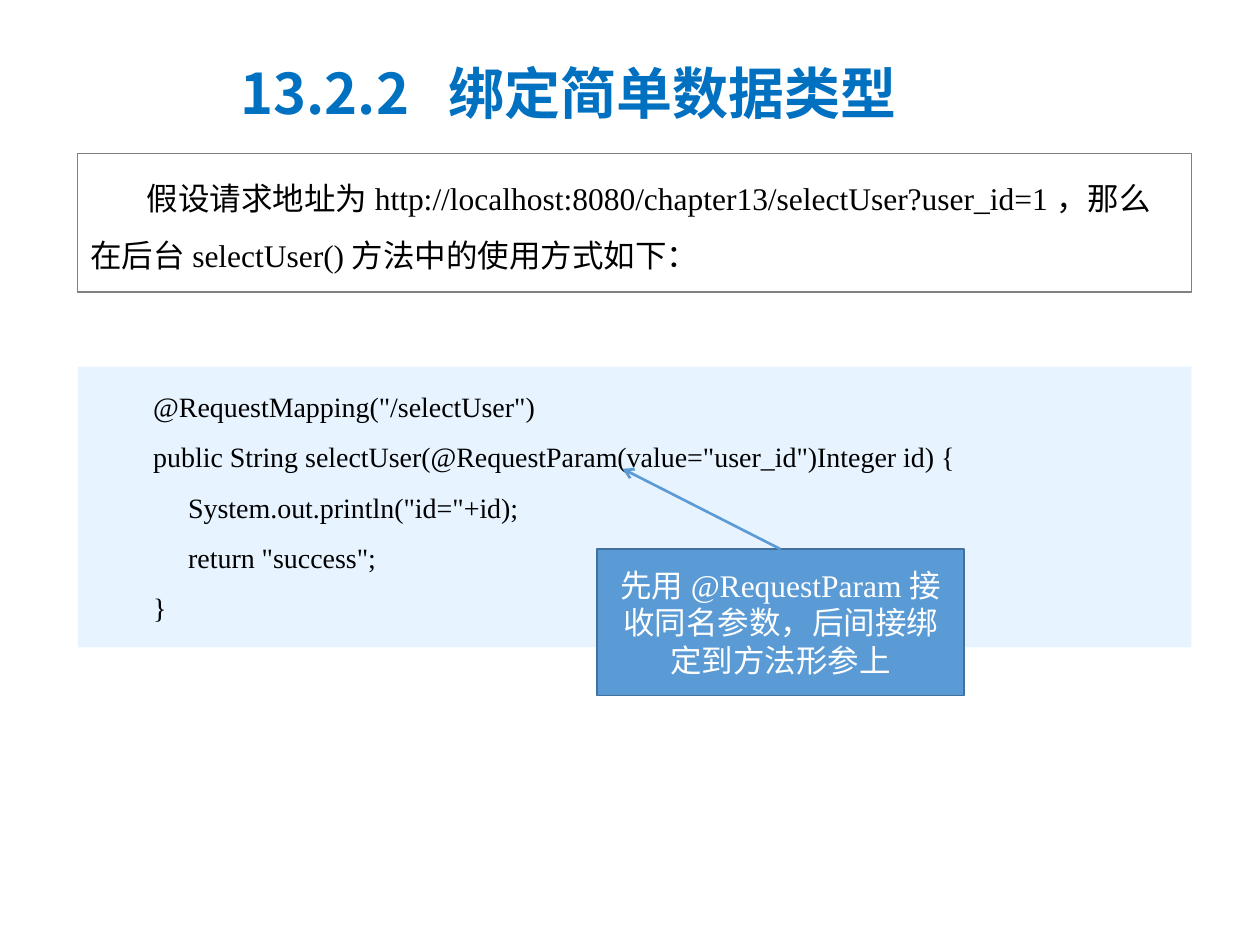
from lxml import etree
from pptx import Presentation
from pptx.dml.color import RGBColor
from pptx.enum import shapes, text
from pptx.oxml.ns import qn
from pptx.util import Cm, Pt

SANS = "Noto Sans CJK SC"
SERIF = "Times New Roman"
LEFT, WIDTH = 1.57, 22.45
CODE = [
    '@RequestMapping("/selectUser")',
    'public String selectUser(@RequestParam(value="user_id")Integer id) {',
    '     System.out.println("id="+id);',
    '     return "success";',
    "}",
]


def color(value):
    return RGBColor.from_string(value)


def add_run(p, content, size, font, fill, bold=False):
    r = p.add_run()
    r.text = content
    r.font.size = Pt(size)
    r.font.name = font
    r.font.bold = bold
    r.font.color.rgb = color(fill)
    return r


def add_panel(s, box, fill, line=None, width=0.75):
    sp = s.shapes.add_shape(shapes.MSO_SHAPE.RECTANGLE, *map(Cm, box))
    sp.shadow.inherit = False
    sp.fill.solid()
    sp.fill.fore_color.rgb = color(fill)
    if line:
        sp.line.color.rgb = color(line)
        sp.line.width = Pt(width)
    else:
        sp.line.fill.background()
    tf = sp.text_frame
    tf.word_wrap = True
    tf.vertical_anchor = text.MSO_ANCHOR.TOP
    tf.paragraphs[0].alignment = text.PP_ALIGN.LEFT
    return tf


def add_title(s, box):
    tf = s.shapes.add_textbox(*map(Cm, box)).text_frame
    tf.word_wrap = True
    tf.vertical_anchor = text.MSO_ANCHOR.MIDDLE
    p = tf.paragraphs[0]
    p.line_spacing = 0.9
    r = add_run(p, "13.2.2  绑定简单数据类型", 32, SANS, "0070C0", True)
    etree.SubElement(r.font._element, qn("a:ea")).set("typeface", SANS)


def add_request(s, box):
    tf = add_panel(s, box, "FFFFFF", "808080")
    p = tf.paragraphs[0]
    p.line_spacing = 1.5
    p._p.get_or_add_pPr().set("indent", str(Cm(1.14)))
    add_run(p, "假设请求地址为http://localhost:8080/chapter13/selectUser?user_id=1，"
               "那么在后台selectUser()方法中的使用方式如下：", 18, SERIF, "000000")


def add_code(s, box):
    tf = add_panel(s, box, "E7F4FF")
    for i, line in enumerate(CODE):
        p = tf.paragraphs[0] if i == 0 else tf.add_paragraph()
        p.alignment = text.PP_ALIGN.LEFT
        p.line_spacing = 1.5
        pPr = p._p.get_or_add_pPr()
        pPr.set("marL", str(Cm(2.06)))
        pPr.set("indent", str(Cm(-0.79)))
        add_run(p, line, 16, SERIF, "000000")


def add_callout(s, box, target):
    left, top, width, _ = box
    tf = add_panel(s, box, "5B9BD5", "41719C", 1)
    tf.vertical_anchor = text.MSO_ANCHOR.MIDDLE
    p = tf.paragraphs[0]
    p.alignment = text.PP_ALIGN.CENTER
    add_run(p, "先用", 18, "Calibri", "FFFFFF")
    add_run(p, "@RequestParam接收同名参数，后间接绑定到方法形参上", 18, SERIF, "FFFFFF")

    arrow = s.shapes.add_connector(
        shapes.MSO_CONNECTOR.STRAIGHT, Cm(left + width / 2), Cm(top), *map(Cm, target))
    arrow.line.color.rgb = color("5B9BD5")
    arrow.line.width = Pt(1.5)
    etree.SubElement(arrow.line._get_or_add_ln(), qn("a:tailEnd")).set("type", "arrow")
    etree.SubElement(arrow._element.spPr, qn("a:effectLst"))


def main():
    prs = Presentation()
    prs.slide_width, prs.slide_height = Cm(25.4), Cm(19.05)
    s = prs.slides.add_slide(prs.slide_layouts[6])
    add_title(s, (4.6, 0.86, 15.62, 2.16))
    add_request(s, (LEFT, 3.1, WIDTH, 2.79))
    add_code(s, (LEFT, 7.39, WIDTH, 5.66))
    add_callout(s, (12.04, 11.07, 7.39, 2.95), (12.55, 9.45))
    prs.save("out.pptx")


if __name__ == "__main__":
    main()
